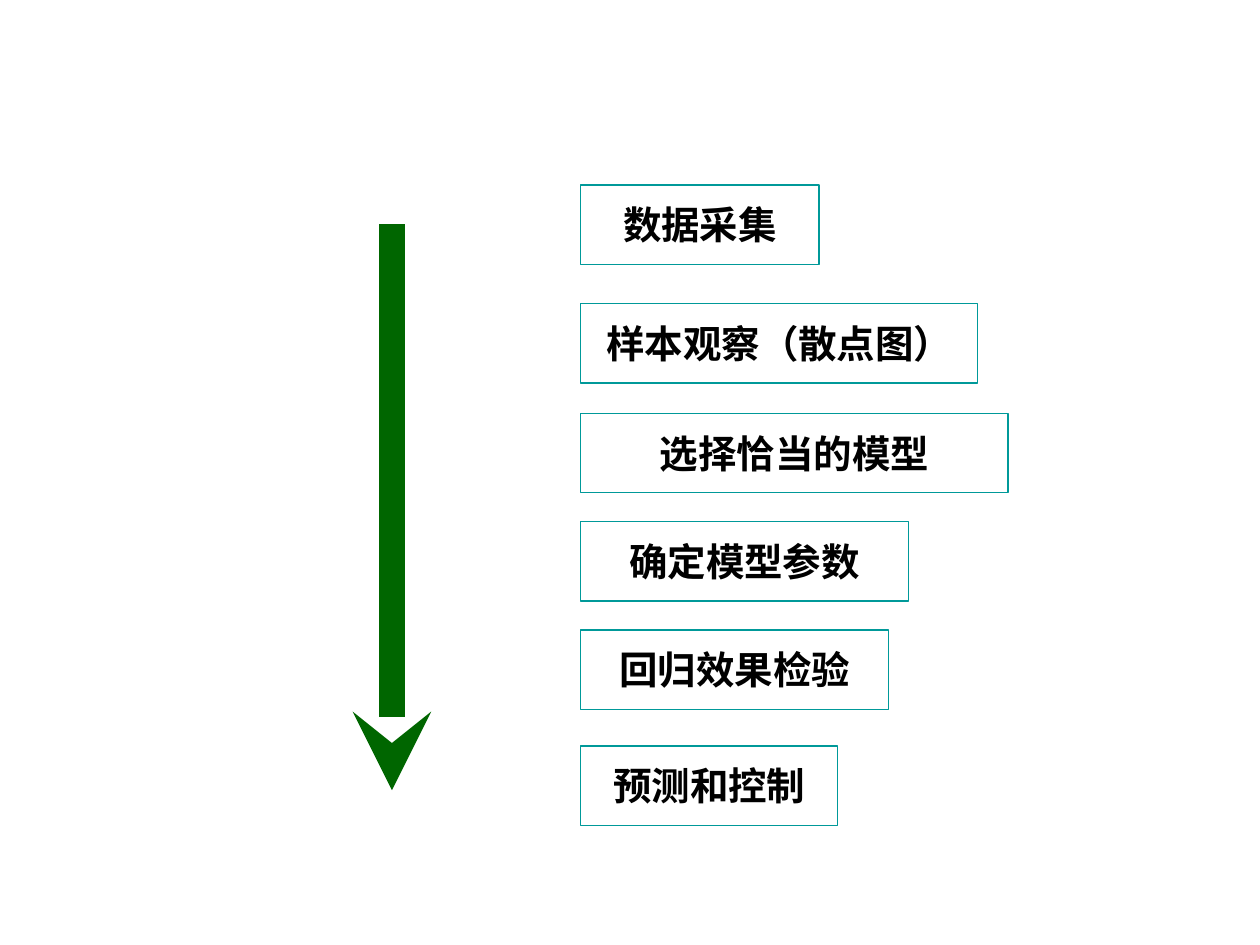
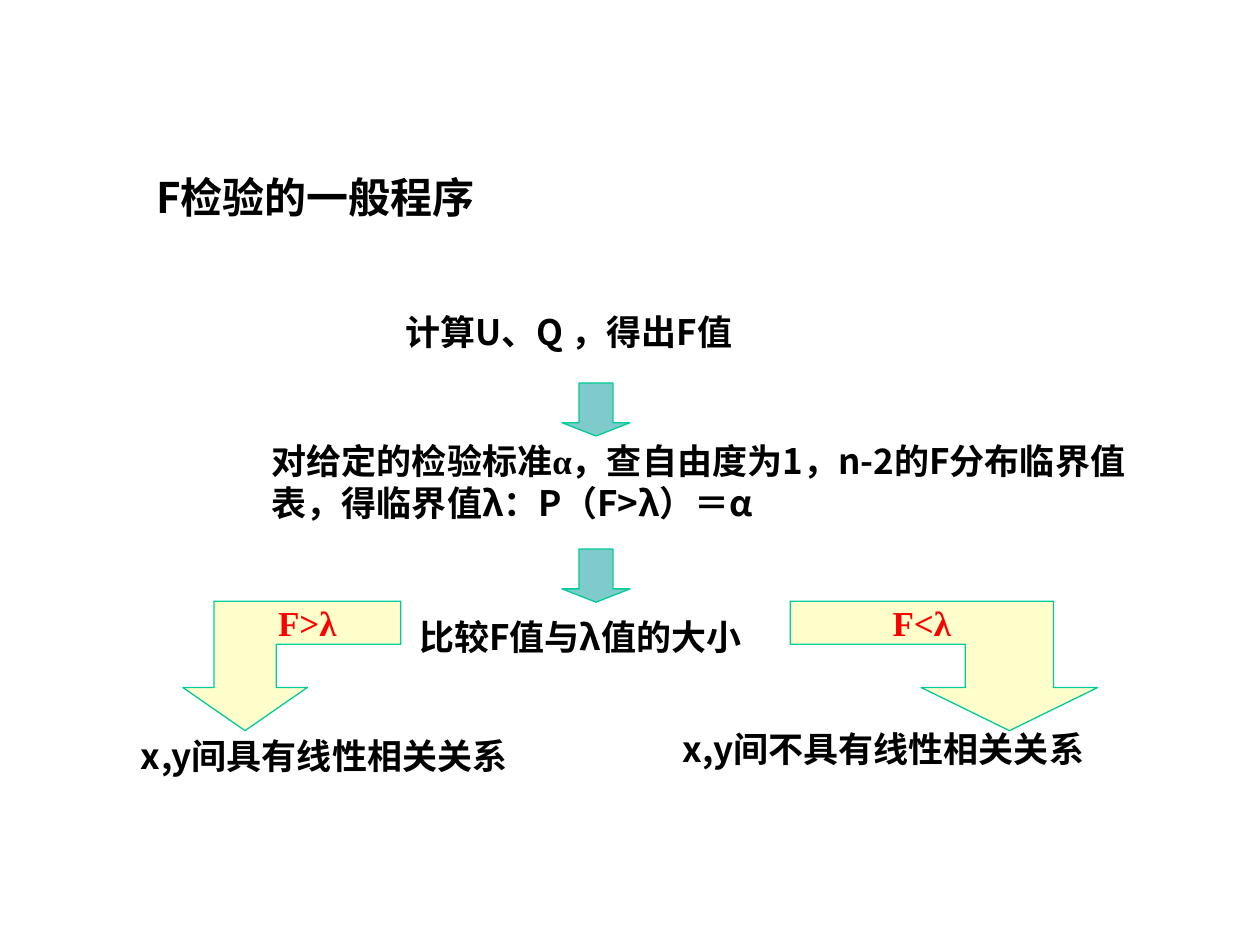
from dataclasses import dataclass

from lxml import etree
from pptx import Presentation, util as u
from pptx.dml.color import RGBColor
from pptx.enum import shapes, text
from pptx.oxml.ns import qn

SANS, SERIF = "Noto Sans CJK SC", "Times New Roman"
BLACK, RED = "000000", "FF0000"
TEAL, MINT, GREEN, YELLOW = "009999", "00CC99", "006600", "FFFF99"


@dataclass
class Step:
    label: str
    top: float
    width: float


@dataclass
class Note:
    wording: list[tuple[str, str]]
    left: float
    top: float
    width: float
    height: float = 1.12
    size: int = 20
    wrap: bool = True


@dataclass
class Branch:
    label: str
    tail: float
    centre: float
    head: float


STEPS = [
    Step("数据采集", 3.73, 4.8),
    Step("样本观察（散点图）", 6.12, 8),
    Step("选择恰当的模型", 8.33, 8.61),
    Step("确定模型参数", 10.52, 6.6),
    Step("回归效果检验", 12.7, 6.2),
    Step("预测和控制", 15.04, 5.18),
]
NOTES = [
    Note([("F检验的一般程序", SANS)], 2.9, 3.33, 8.05, 1.27, 24),
    Note([("计算U、Q ，得出F值", SANS)], 7.92, 6.12, 10.36),
    Note([("对给定的检验标准", SANS), ("α", SERIF),
          ("，查自由度为1，n-2的F分布临界值表，得临界值λ：P（F>λ）＝α", SANS)],
         5.23, 8.74, 17.78, 1.96),
    Note([("比较F值与λ值的大小", SANS)], 8.2, 12.27, 7.82, wrap=False),
    Note([("x,y间具有线性相关关系", SANS)], 2.59, 14.68, 9.53),
    Note([("x,y间不具有线性相关关系", SANS)], 13.51, 14.53, 10.59),
]
DOWN_ARROW_TOPS = [7.72, 11.07]
BRANCHES = [Branch("F>λ", 8.08, 4.94, 2.51), Branch("F<λ", 15.93, 20.35, 3.56)]
BRANCH_TOP, BRANCH_BAND = 12.12, 0.87


def rgb(colour: str) -> RGBColor:
    return RGBColor.from_string(colour)


def style(sp, line: str, fill: str | None = None, alpha: int = 50) -> None:
    """Set outline and fill; alpha is the fill's opacity in percent."""
    sp.shadow.inherit = False
    sp.line.color.rgb = rgb(line)
    sp.line.width = u.Pt(0.75)
    if fill is None:
        sp.fill.background()
        return
    sp.fill.solid()
    sp.fill.fore_color.rgb = rgb(fill)
    colour = sp._element.spPr.find(qn("a:solidFill"))[0]
    etree.SubElement(colour, qn("a:alpha"), val=str(alpha * 1000))


def add_text(sp, wording: list[tuple[str, str]], *, size: int = 20,
             colour: str = BLACK, east: str | None = None,
             align=text.PP_ALIGN.LEFT, anchor=text.MSO_ANCHOR.TOP,
             wrap: bool = True,
             insets: tuple[float, ...] = (0.25, 0.13, 0.25, 0.13)) -> None:
    """Write (text, font) pairs as one bold paragraph; insets are l, t, r, b."""
    tf = sp.text_frame
    tf.auto_size = text.MSO_AUTO_SIZE.NONE
    tf.word_wrap = wrap
    tf.vertical_anchor = anchor
    tf.margin_left, tf.margin_top, tf.margin_right, tf.margin_bottom = map(u.Cm, insets)
    p = tf.paragraphs[0]
    p.alignment = align
    for content, font in wording:
        r = p.add_run()
        r.text = content
        r.font.name, r.font.size, r.font.bold = font, u.Pt(size), True
        r.font.color.rgb = rgb(colour)
        etree.SubElement(r._r.get_or_add_rPr(), qn("a:ea"), typeface=east or font)


def draw_step(s, step: Step) -> None:
    sp = s.shapes.add_shape(shapes.MSO_SHAPE.RECTANGLE, u.Cm(11.71),
                            u.Cm(step.top), u.Cm(step.width), u.Cm(1.6))
    style(sp, TEAL)
    add_text(sp, [(step.label, SERIF)], size=22, east=SANS,
             align=text.PP_ALIGN.CENTER, insets=(0.25, 0.33, 0.25, 0.33))


def draw_flow_line(s) -> None:
    x = u.Cm(7.9)
    cx = s.shapes.add_connector(shapes.MSO_CONNECTOR.STRAIGHT,
                                x, u.Cm(4.52), x, u.Cm(15.93))
    cx.line.color.rgb = rgb(GREEN)
    cx.line.width = u.Pt(15)
    spPr = cx._element.spPr
    etree.SubElement(spPr.find(qn("a:ln")), qn("a:tailEnd"), type="stealth")
    etree.SubElement(spPr, qn("a:effectLst"))


def draw_note(s, note: Note) -> None:
    sp = s.shapes.add_textbox(*map(u.Cm, (note.left, note.top, note.width, note.height)))
    add_text(sp, note.wording, size=note.size, wrap=note.wrap)


def draw_down_arrow(s, top: float) -> None:
    sp = s.shapes.add_shape(shapes.MSO_SHAPE.DOWN_ARROW, u.Cm(11.33),
                            u.Cm(top), u.Cm(1.37), u.Cm(1.07))
    sp.adjustments[0], sp.adjustments[1] = 0.5, 0.25
    style(sp, MINT, TEAL)


def draw_branch(s, b: Branch) -> None:
    """Draw an arrow that leaves its tail sideways and turns down at its centre."""
    quarter = b.head / 4
    side = 1 if b.tail > b.centre else -1
    top, under, neck, tip = (BRANCH_TOP + i * BRANCH_BAND for i in range(4))
    inner, outer = b.centre + side * quarter, b.centre - side * quarter
    outline = [
        (b.centre, tip), (b.centre + 2 * side * quarter, neck), (inner, neck),
        (inner, under), (b.tail, under), (b.tail, top), (outer, top),
        (outer, neck), (b.centre - 2 * side * quarter, neck),
    ]
    points = [(u.Cm(x), u.Cm(y)) for x, y in outline]
    builder = s.shapes.build_freeform(*points[0])
    builder.add_line_segments(points[1:], close=True)
    sp = builder.convert_to_shape()
    style(sp, MINT, YELLOW)
    left, right = (quarter, 0) if side > 0 else (0, quarter)
    add_text(sp, [(b.label, SERIF)], colour=RED, wrap=False,
             align=text.PP_ALIGN.CENTER, anchor=text.MSO_ANCHOR.MIDDLE,
             insets=(left, 0, right, 2 * BRANCH_BAND))


def build_steps_slide(s) -> None:
    draw_flow_line(s)
    for step in STEPS:
        draw_step(s, step)


def build_f_test_slide(s) -> None:
    for note in NOTES:
        draw_note(s, note)
    for top in DOWN_ARROW_TOPS:
        draw_down_arrow(s, top)
    for branch in BRANCHES:
        draw_branch(s, branch)


def main() -> None:
    prs = Presentation()
    prs.slide_width, prs.slide_height = u.Cm(25.4), u.Cm(19.05)
    for build in (build_steps_slide, build_f_test_slide):
        build(prs.slides.add_slide(prs.slide_layouts[6]))
    prs.save("out.pptx")


if __name__ == "__main__":
    main()
